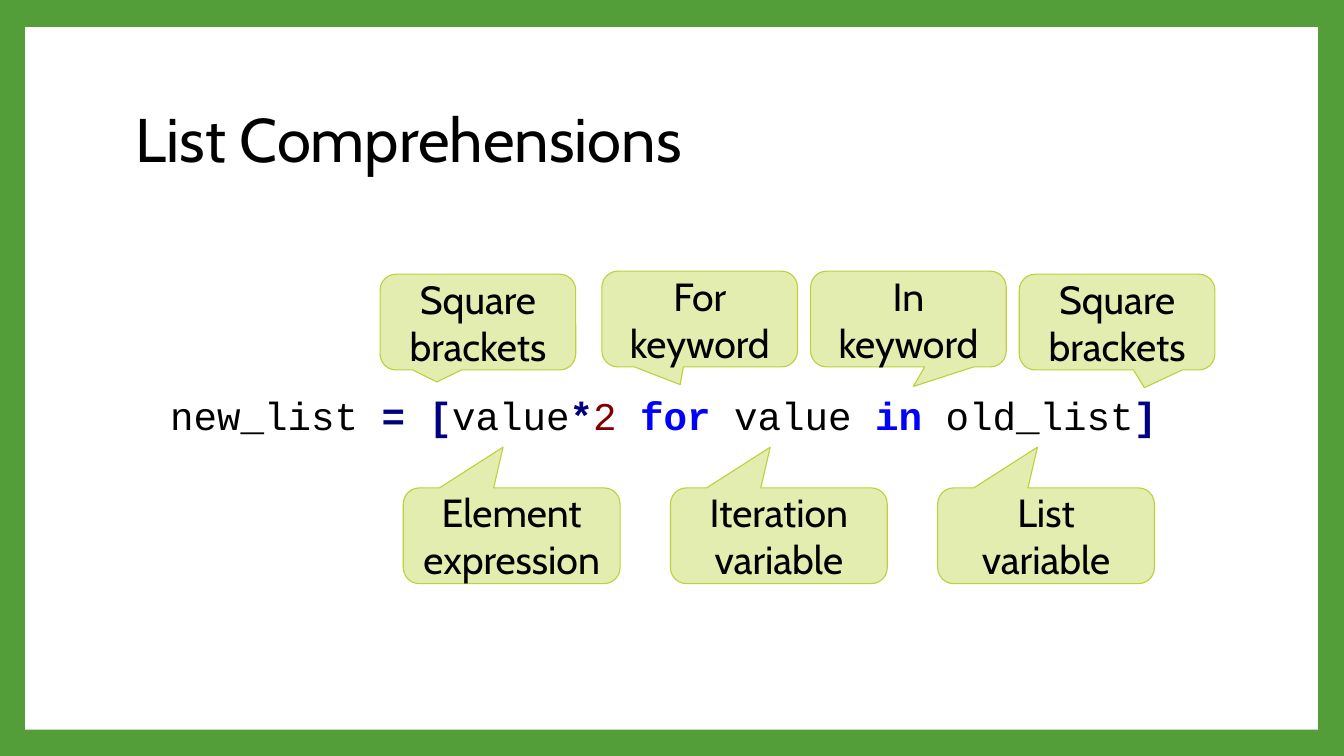
from pptx import Presentation
from pptx.dml.color import RGBColor
from pptx.enum.shapes import MSO_SHAPE as SHAPE
from pptx.enum.text import MSO_ANCHOR as ANCHOR, MSO_AUTO_SIZE as AUTO, PP_ALIGN as ALIGN
from pptx.util import Inches, Pt

GREEN = RGBColor(0x54, 0x9E, 0x39)
WHITE = RGBColor(0xFF, 0xFF, 0xFF)
BLACK = RGBColor(0x00, 0x00, 0x00)
NAVY = RGBColor(0x00, 0x00, 0x80)
MAROON = RGBColor(0x80, 0x00, 0x00)
BLUE = RGBColor(0x00, 0x00, 0xFF)
PALE_LIME = RGBColor(0xE4, 0xED, 0xB0)
LIME = RGBColor(0xC0, 0xCF, 0x3A)

SANS, MONO = "Cabin", "Courier New"

CODE = [
    ("new_list ", BLACK, False),
    ("= [", NAVY, True),
    ("value", BLACK, False),
    ("*", NAVY, True),
    ("2 ", MAROON, False),
    ("for", BLUE, True),
    (" value ", BLACK, False),
    ("in ", BLUE, True),
    ("old_list", BLACK, False),
    ("]", NAVY, True),
]

# Text, left, top, and the pointer tip as a share of the callout's size
UPPER_CALLOUTS = [
    ("Square brackets", 3.77, 2.72, (-0.21, 0.625)),
    ("Square brackets", 10.11, 2.72, (0.14, 0.685)),
    ("For keyword", 5.97, 2.69, (-0.1, 0.685)),
    ("In keyword", 8.04, 2.69, (0.025, 0.704)),
]
LOWER_LABELS = ["Element expression", "Iteration variable", "List variable"]
LOWER_LEFT, LOWER_PITCH, LOWER_TOP = 4, 2.65, 4.84
LOWER_TIP = (-0.04, -0.925)


def add_run(p, text, name, size, color=BLACK, bold=False):
    r = p.add_run()
    r.text = text
    for attr, value in {"name": name, "size": Pt(size), "bold": bold}.items():
        setattr(r.font, attr, value)
    r.font.color.rgb = color


def add_frame(s, left, top, width, height):
    """Green slide background with a white panel on top."""
    s.background.fill.solid()
    s.background.fill.fore_color.rgb = GREEN
    panel = s.shapes.add_shape(SHAPE.RECTANGLE, Inches(left), Inches(top),
                               Inches(width), Inches(height))
    panel.shadow.inherit = False
    panel.fill.solid()
    panel.fill.fore_color.rgb = WHITE
    panel.line.fill.background()


def add_title(s, text, left, top, width, height):
    tf = s.shapes.add_textbox(Inches(left), Inches(top),
                              Inches(width), Inches(height)).text_frame
    tf.word_wrap = True
    tf.vertical_anchor = ANCHOR.MIDDLE
    p = tf.paragraphs[0]
    p.line_spacing = 0.9
    add_run(p, text, SANS, 44)


def add_code_line(s, tokens, left, top, width, height):
    tf = s.shapes.add_textbox(Inches(left), Inches(top),
                              Inches(width), Inches(height)).text_frame
    tf.word_wrap = False
    tf.auto_size = AUTO.SHAPE_TO_FIT_TEXT
    for text, color, bold in tokens:
        add_run(tf.paragraphs[0], text, MONO, 28, color, bold)


def add_callout(s, text, left, top, width, tip, height=0.95):
    sp = s.shapes.add_shape(SHAPE.ROUNDED_RECTANGULAR_CALLOUT, Inches(left), Inches(top),
                            Inches(width), Inches(height))
    sp.shadow.inherit = False
    sp.adjustments[0], sp.adjustments[1] = tip
    sp.fill.solid()
    sp.fill.fore_color.rgb = PALE_LIME
    sp.line.color.rgb = LIME
    sp.line.width = Pt(0.79)
    tf = sp.text_frame
    tf.word_wrap = True
    tf.vertical_anchor = ANCHOR.MIDDLE
    p = tf.paragraphs[0]
    p.alignment = ALIGN.CENTER
    add_run(p, text, SANS, 28)


def main():
    prs = Presentation()
    prs.slide_width, prs.slide_height = Inches(13.33), Inches(7.5)
    s = prs.slides.add_slide(prs.slide_layouts[6])
    add_frame(s, 0.25, 0.27, 12.82, 6.97)
    add_title(s, "List Comprehensions", 1.25, 0.67, 10.8, 1.48)
    add_code_line(s, CODE, 1.59, 3.83, 10.07, 0.57)
    for text, left, top, tip in UPPER_CALLOUTS:
        add_callout(s, text, left, top, 1.94, tip)
    for i, text in enumerate(LOWER_LABELS):
        add_callout(s, text, LOWER_LEFT + i * LOWER_PITCH, LOWER_TOP, 2.15, LOWER_TIP)
    prs.save("out.pptx")


if __name__ == "__main__":
    main()
